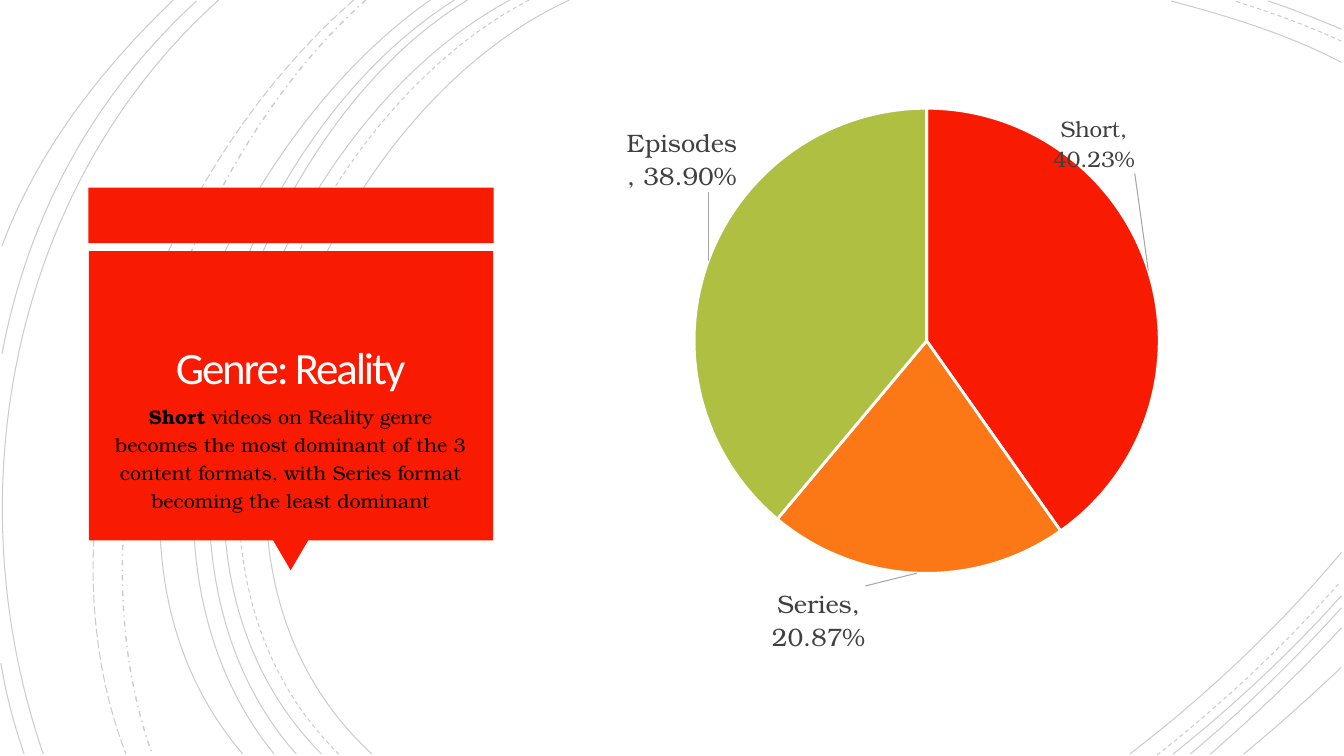
"""Build the Reality genre slide with its content format pie chart."""
from lxml import etree
from pptx import Presentation
from pptx.chart.data import CategoryChartData
from pptx.dml.color import RGBColor
from pptx.enum.chart import XL_CHART_TYPE, XL_LABEL_POSITION
from pptx.enum.dml import MSO_LINE
from pptx.enum.shapes import MSO_SHAPE
from pptx.enum.text import MSO_ANCHOR, PP_ALIGN
from pptx.oxml import parse_xml
from pptx.oxml.ns import nsdecls, qn
from pptx.util import Cm, Pt

SOLID, DASH = MSO_LINE.SOLID, MSO_LINE.DASH
LONG_DASH, DASH_DOT = MSO_LINE.LONG_DASH, MSO_LINE.DASH_DOT
RECTANGLE, TRIANGLE = MSO_SHAPE.RECTANGLE, MSO_SHAPE.ISOSCELES_TRIANGLE
OUTSIDE_END = XL_LABEL_POSITION.OUTSIDE_END
BLACK = RGBColor(0x00, 0x00, 0x00)
WHITE = RGBColor(0xFF, 0xFF, 0xFF)
TITLE_WHITE = RGBColor(0xFF, 0xFE, 0xFF)
RED = RGBColor(0xF8, 0x1B, 0x02)
ORANGE = RGBColor(0xFC, 0x77, 0x15)
GREEN = RGBColor(0xAF, 0xBF, 0x41)
LABEL_GRAY = RGBColor(0x40, 0x40, 0x40)
BODY_FONT = "TeX Gyre Bonum"
CURVE_UNIT = Cm(2.54) / 100
LABEL_SIZE_NS = "http://schemas.microsoft.com/office/drawing/2012/chart"

presentation = Presentation()
presentation.slide_width = Cm(33.87)
presentation.slide_height = Cm(19.05)
slide = presentation.slides.add_slide(presentation.slide_layouts[6])


def add_text(left, top, width, height, text):
    box = slide.shapes.add_textbox(Cm(left), Cm(top), Cm(width), Cm(height))
    box.text_frame.word_wrap = True
    box.text_frame.text = text
    paragraph = box.text_frame.paragraphs[0]
    paragraph.alignment = PP_ALIGN.CENTER
    return box.text_frame, paragraph


curves = [
    ((565, 0), (315, 115), (143, 540), (369, 748), SOLID),
    ((1331, 62), (1278, 34), (1218, 16), (1162, 1), SOLID),
    ((1121, 748), (1197, 690), (1269, 622), (1331, 548), SOLID),
    ((525, 0), (285, 125), (123, 537), (336, 748), DASH),
    ((1331, 41), (1297, 25), (1260, 12), (1225, 1), DASH),
    ((1148, 749), (1213, 698), (1275, 640), (1330, 577), DASH),
    ((506, 0), (270, 127), (110, 537), (319, 748), SOLID),
    ((1331, 29), (1307, 19), (1283, 9), (1258, 1), SOLID),
    ((1164, 748), (1223, 701), (1280, 648), (1331, 591), SOLID),
    ((464, 0), (244, 133), (110, 541), (294, 748), SOLID),
    ((1181, 748), (1234, 704), (1284, 655), (1331, 603), SOLID),
    ((451, 0), (231, 138), (97, 533), (272, 748), SOLID),
    ((1201, 748), (1246, 709), (1290, 667), (1331, 623), SOLID),
    ((427, 0), (217, 147), (53, 529), (241, 748), SOLID),
    ((1234, 748), (1267, 721), (1299, 692), (1331, 662), SOLID),
    ((363, 0), (176, 166), (65, 509), (151, 748), DASH_DOT),
    ((351, 0), (157, 169), (29, 499), (125, 748), LONG_DASH),
    ((217, 0), (11, 185), (-46, 490), (43, 748), SOLID),
    ((195, 1), (92, 96), (28, 214), (2, 351), SOLID),
    ((1, 658), (6, 689), (14, 719), (24, 748), SOLID),
    ((172, 0), (100, 69), (37, 150), (2, 244), SOLID),
]
for start, *controls, dash in curves:
    builder = slide.shapes.build_freeform(*start, scale=CURVE_UNIT)
    builder.add_line_segments(controls, close=False)
    curve = builder.convert_to_shape()
    outline = curve._element.find(".//" + qn("a:path"))
    bezier = etree.SubElement(outline, qn("a:cubicBezTo"))
    for segment in outline.findall(qn("a:lnTo")):
        bezier.append(segment.find(qn("a:pt")))
        outline.remove(segment)
    curve.shadow.inherit = False
    curve.fill.background()
    curve.line.color.rgb = BLACK
    curve.line.width = Pt(1 if dash == DASH_DOT else 0.75)
    curve.line.dash_style = dash
    for color in curve.line._ln.iter(qn("a:srgbClr")):
        etree.SubElement(color, qn("a:alpha"), val="20000")

for kind, left, top, width, height, rotation in [
    (RECTANGLE, 2.23, 4.73, 10.21, 1.4, 0),
    (TRIANGLE, 6.88, 13.61, 0.89, 0.76, 180),
    (RECTANGLE, 2.24, 6.33, 10.19, 7.29, 0),
]:
    panel = slide.shapes.add_shape(kind, Cm(left), Cm(top), Cm(width), Cm(height))
    panel.rotation = rotation
    panel.shadow.inherit = False
    panel.fill.solid()
    panel.fill.fore_color.rgb = RED
    panel.line.fill.background()

title_frame, title = add_text(2.46, 6.53, 9.73, 3.4, "Genre: Reality")
title_frame.vertical_anchor = MSO_ANCHOR.BOTTOM
title_frame.margin_left = title_frame.margin_right = title_frame.margin_top = Cm(0.64)
title_frame.margin_bottom = 0
title.line_spacing = 0.85
title_font = title.runs[0].font
title_font.name, title_font.size = "Calibri", Pt(32)
title_font.color.rgb = TITLE_WHITE
title.runs[0]._r.get_or_add_rPr().set("spc", "-150")

chart_data = CategoryChartData(number_format="0.00%")
chart_data.categories = ["Short", "Series", "Episodes"]
chart_data.add_series("Series 1", [0.4023, 0.2087, 0.389])
chart = slide.shapes.add_chart(
    XL_CHART_TYPE.PIE, Cm(14.2), Cm(2.24), Cm(17.42), Cm(14.58), chart_data
).chart
chart.has_legend = False
chart.has_title = False
chart.font.name, chart.font.size = BODY_FONT, Pt(10)
chart.font.color.rgb = BLACK
plot = chart.plots[0]
plot.vary_by_categories = True
plot_area = chart._chartSpace.find(".//" + qn("c:plotArea"))
for old_layout in plot_area.findall(qn("c:layout")):
    plot_area.remove(old_layout)
plot_area.insert(0, parse_xml(
    f'<c:layout {nsdecls("c")}><c:manualLayout><c:layoutTarget val="inner"/>'
    '<c:xMode val="edge"/><c:yMode val="edge"/><c:x val="0.189"/><c:y val="0.033"/>'
    '<c:w val="0.673"/><c:h val="0.805"/></c:manualLayout></c:layout>'
))

series = plot.series[0]
labels = series.data_labels
labels.show_value = True
labels.show_category_name = True
labels.number_format = "0.00%"
labels.number_format_is_linked = False
labels.position = OUTSIDE_END
labels.font.name, labels.font.size = BODY_FONT, Pt(18)
labels.font.color.rgb = LABEL_GRAY

for index, (color, size, shift_x, shift_y, label_width) in enumerate([
    (RED, 16, -0.146, -0.165, None),
    (ORANGE, 18, -0.142, 0.012, None),
    (GREEN, 18, 0.05, -0.116, 0.19),
]):
    point = series.points[index]
    point.format.fill.solid()
    point.format.fill.fore_color.rgb = color
    point.format.line.color.rgb = WHITE
    point.format.line.width = Pt(2)
    label = point.data_label
    label.font.name, label.font.size = BODY_FONT, Pt(size)
    label.font.color.rgb = LABEL_GRAY
    label.position = OUTSIDE_END
    label_element = series._element.findall(".//" + qn("c:dLbl"))[index]
    label_element.find(qn("c:showCatName")).set("val", "1")
    label_element.insert(1, parse_xml(
        f'<c:layout {nsdecls("c")}><c:manualLayout><c:x val="{shift_x}"/>'
        f'<c:y val="{shift_y}"/></c:manualLayout></c:layout>'
    ))
    label_element.insert(2, parse_xml(
        f'<c:numFmt {nsdecls("c")} formatCode="0.00%" sourceLinked="0"/>'
    ))
    etree.SubElement(label_element, qn("c:separator")).text = ", "
    if label_width:
        label_element.append(parse_xml(
            f'<c:extLst {nsdecls("c")}><c:ext uri="{{CE6537A1-D6FC-4f65-9D91-7224C49458BB}}" '
            f'xmlns:c15="{LABEL_SIZE_NS}"><c15:layout><c:manualLayout>'
            f'<c:w val="{label_width}"/><c:h val="0.12"/>'
            '</c:manualLayout></c15:layout></c:ext></c:extLst>'
        ))

labels_element = series._element.find(qn("c:dLbls"))
for old_leader in labels_element.findall(qn("c:showLeaderLines")):
    labels_element.remove(old_leader)
etree.SubElement(labels_element, qn("c:separator")).text = ", "
etree.SubElement(labels_element, qn("c:showLeaderLines"), val="1")
labels_element.append(parse_xml(
    f'<c:leaderLines {nsdecls("c", "a")}><c:spPr><a:ln w="9525"><a:solidFill>'
    '<a:srgbClr val="A6A6A6"/></a:solidFill></a:ln></c:spPr></c:leaderLines>'
))

body_frame, body = add_text(2.46, 9.95, 9.73, 3.4, "Short")
body.add_run().text = (
    " videos on Reality genre becomes the most dominant of the 3 content formats, "
    "with Series format becoming the least dominant"
)
body.line_spacing = 1.2
body.space_before = Pt(10)
for run in body.runs:
    run.font.name, run.font.size = BODY_FONT, Pt(14)
    run.font.color.rgb = BLACK
body.runs[0].font.bold = True

presentation.save("out.pptx")
